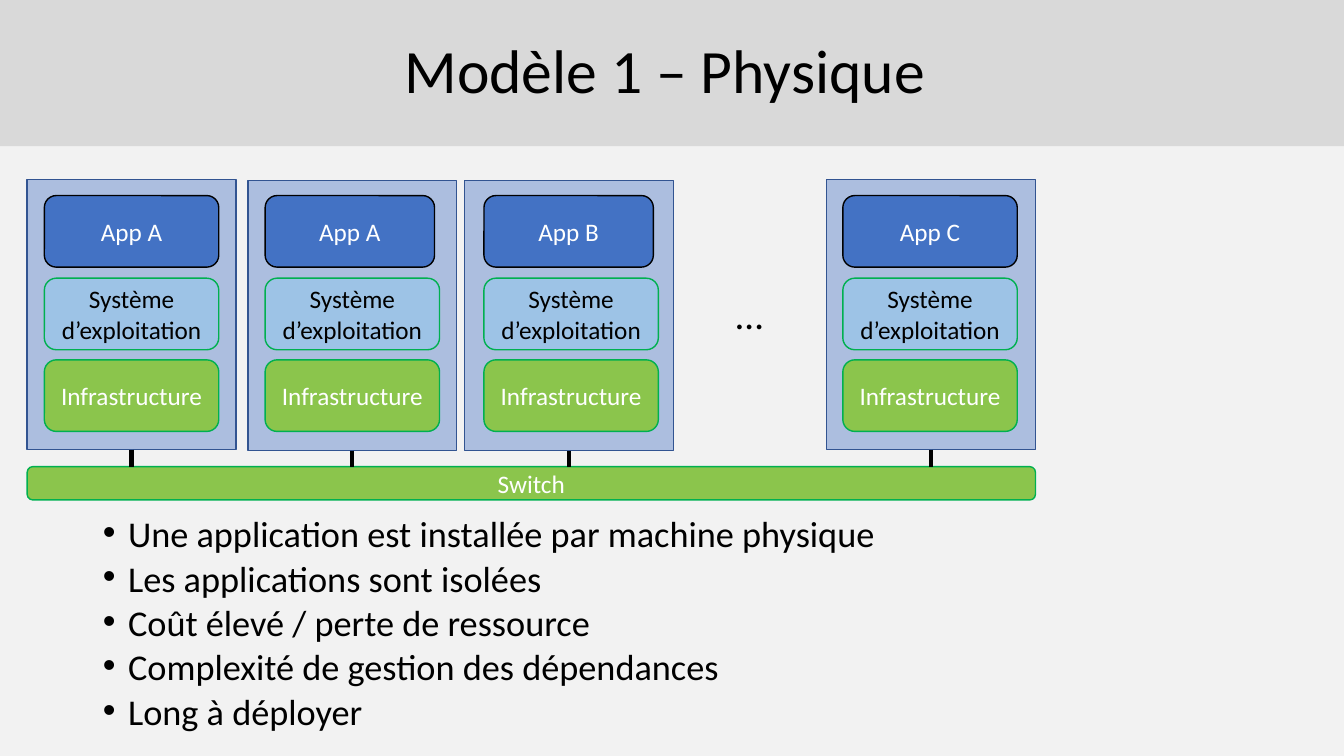
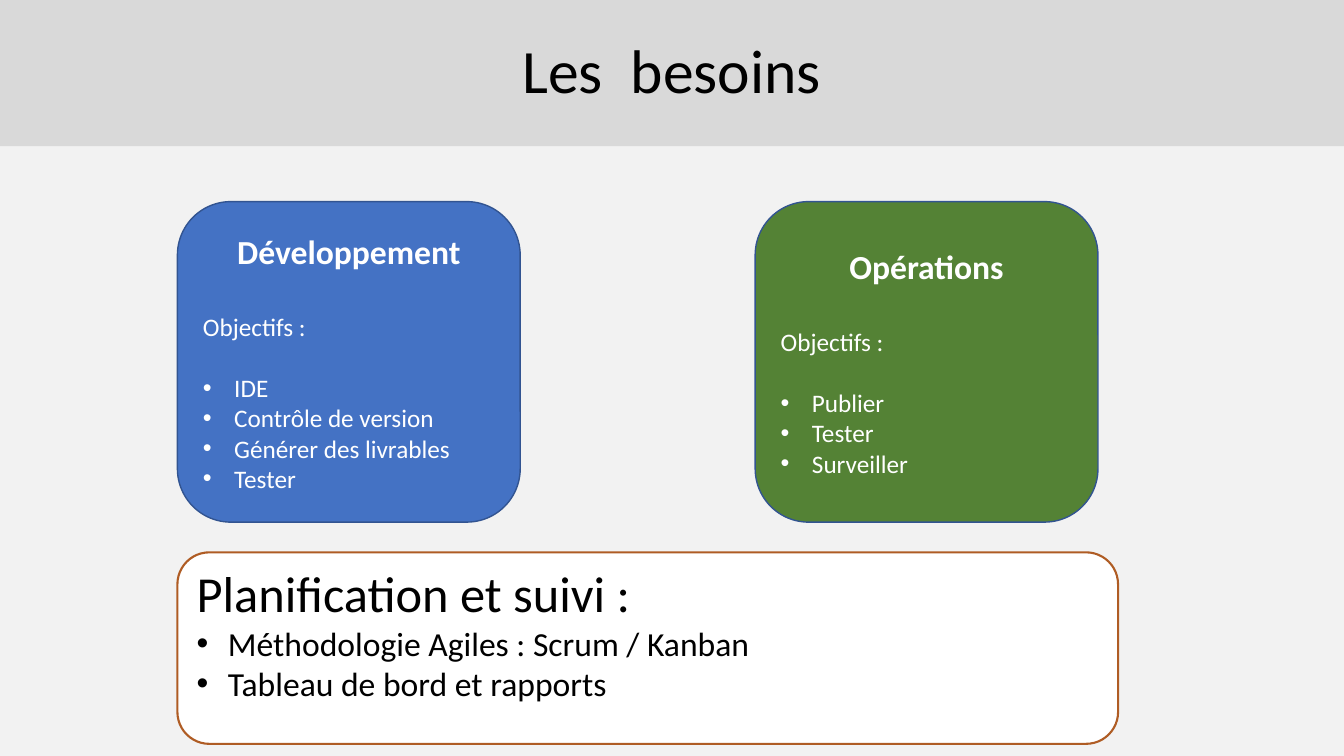
"""Build two slides: the physical deployment model and the needs of each team."""
import dataclasses

import lxml.etree
import pptx
import pptx.dml.color
import pptx.enum.shapes
import pptx.enum.text
import pptx.oxml.ns
import pptx.util

Inches = pptx.util.Inches
Pt = pptx.util.Pt
Color = pptx.dml.color.RGBColor.from_string
Align = pptx.enum.text.PP_ALIGN
Anchor = pptx.enum.text.MSO_ANCHOR
Fit = pptx.enum.text.MSO_AUTO_SIZE
Shape = pptx.enum.shapes.MSO_SHAPE
qname = pptx.oxml.ns.qn


@dataclasses.dataclass(frozen=True)
class Theme:
    font: str = "Calibri"
    paper: str = "F2F2F2"
    band: str = "D9D9D9"
    black: str = "000000"
    white: str = "FFFFFF"
    blue: str = "4472C4"
    app: str = "4372C4"
    navy: str = "325491"
    sky: str = "9DC3E6"
    lime: str = "8BC54C"
    emerald: str = "00B050"
    forest: str = "548235"
    rust: str = "AF5C24"
    title: float = 44
    headline: float = 36
    dots: float = 28
    body: float = 25.9
    heading: float = 24
    label: float = 18


theme = Theme()


def write(frame, text, size=theme.label, color=theme.black, bold=False,
          align=Align.LEFT, indent=0, line=None, before=0, after=0):
    """Add one formatted paragraph; a positive indent gives it a bullet."""
    para = frame.add_paragraph() if frame.text else frame.paragraphs[0]
    para.alignment = align
    para.space_before, para.space_after = Pt(before), Pt(after)
    if line:
        para.line_spacing = line
    if indent:
        properties = para._p.get_or_add_pPr()
        properties.set("marL", str(Inches(indent)))
        properties.set("indent", str(-Inches(indent)))
        lxml.etree.SubElement(properties, qname("a:buFont")).set("typeface", "Arial")
        lxml.etree.SubElement(properties, qname("a:buChar")).set("char", "•")
    span = para.add_run()
    span.text = text
    span.font.name, span.font.size, span.font.bold = theme.font, Pt(size), bold
    span.font.color.rgb = Color(color)


def add_box(page, kind, left, top, width, height, fill, outline, weight=1):
    """Add a filled, outlined shape ready for middle-anchored text."""
    box = page.shapes.add_shape(kind, Inches(left), Inches(top), Inches(width), Inches(height))
    box.shadow.inherit = False
    box.fill.solid()
    box.fill.fore_color.rgb = Color(fill)
    box.line.color.rgb = Color(outline)
    box.line.width = Pt(weight)
    box.text_frame.word_wrap = True
    box.text_frame.vertical_anchor = Anchor.MIDDLE
    return box


deck = pptx.Presentation()
deck.slide_width, deck.slide_height = Inches(13.33), Inches(7.5)
deck.slide_master.background.fill.solid()
deck.slide_master.background.fill.fore_color.rgb = Color(theme.paper)

pages = []
for layout, heading in ((1, "Modèle 1 – Physique "), (5, "Les  besoins")):
    page = deck.slides.add_slide(deck.slide_layouts[layout])
    title = page.shapes.title
    title.left, title.top, title.width, title.height = 0, 0, deck.slide_width, Inches(1.45)
    title.fill.solid()
    title.fill.fore_color.rgb = Color(theme.band)
    title.text_frame.auto_size = Fit.NONE
    title.text_frame.vertical_anchor = Anchor.MIDDLE
    write(title.text_frame, heading, size=theme.title, align=Align.CENTER, line=0.9)
    pages.append(page)
model, needs = pages

machine_width, machine_height, layer_width, layer_height = 2.07, 2.68, 1.73, 0.71
switch_top = 4.63
machines = (
    ("App A", 0.27, 1.78, 0.17, layer_width),
    ("App A", 2.46, 1.79, 0.17, 1.68),
    ("App B", 4.61, 1.79, 0.19, 1.68),
    ("App C", 8.2, 1.78, 0.16, layer_width),
)
switch = add_box(model, Shape.ROUNDED_RECTANGLE, 0.27, switch_top, 10, 0.33,
                 theme.lime, theme.emerald)
write(switch.text_frame, "Switch", color=theme.white, align=Align.CENTER)

for app, left, top, margin, app_width in machines:
    machine = add_box(model, Shape.RECTANGLE, left, top, machine_width, machine_height,
                      theme.blue, theme.navy)
    tint = machine._element.spPr.find(qname("a:solidFill"))[0]
    lxml.etree.SubElement(tint, qname("a:alpha")).set("val", "40000")
    layers = (
        (app, 1.94, app_width, theme.app, theme.black, theme.white),
        ("Système d’exploitation", 2.76, layer_width, theme.sky, theme.emerald, theme.black),
        ("Infrastructure", 3.57, layer_width, theme.lime, theme.emerald, theme.white),
    )
    for label, layer_top, width, fill, outline, color in layers:
        layer = add_box(model, Shape.ROUNDED_RECTANGLE, left + margin, layer_top,
                        width, layer_height, fill, outline)
        write(layer.text_frame, label, color=color, align=Align.CENTER)
    middle = Inches(left + machine_width / 2)
    cable = model.shapes.add_connector(
        pptx.enum.shapes.MSO_CONNECTOR.STRAIGHT,
        middle, Inches(top + machine_height), middle, Inches(switch_top))
    cable.line.color.rgb = Color(theme.black)
    cable.line.width = Pt(3)
    lxml.etree.SubElement(cable._element.spPr, qname("a:effectLst"))

dots = model.shapes.add_textbox(Inches(7.2), Inches(2.83), Inches(0.47), Inches(0.57))
dots.text_frame.word_wrap = False
dots.text_frame.auto_size = Fit.SHAPE_TO_FIT_TEXT
write(dots.text_frame, "…", size=theme.dots)

remarks = model.placeholders[1]
remarks.left, remarks.top = Inches(0.92), Inches(5.14)
remarks.width, remarks.height = Inches(11.5), Inches(2.33)
remarks.text_frame.auto_size = Fit.NONE
for remark in (
    "Une application est installée par machine physique",
    "Les applications sont isolées",
    "Coût élevé / perte de ressource",
    "Complexité de gestion des dépendances",
    "Long à déployer",
):
    write(remarks.text_frame, remark, size=theme.body, indent=0.25, line=0.7, before=10)

planning = add_box(needs, Shape.ROUNDED_RECTANGLE, 1.76, 5.48, 9.33, 1.9,
                   theme.white, theme.rust, weight=1.5)
planning.text_frame.margin_bottom = Inches(0.35)
write(planning.text_frame, "Planification et suivi :", size=theme.headline)
for practice in ("Méthodologie Agiles : Scrum / Kanban", "Tableau de bord et rapports"):
    write(planning.text_frame, practice, size=theme.heading, indent=0.31)

teams = (
    ("Développement", 1.76, theme.blue,
     ("IDE", "Contrôle de version", "Générer des livrables", "Tester")),
    ("Opérations", 7.49, theme.forest, ("Publier", "Tester", "Surveiller")),
)
for name, left, fill, goals in teams:
    team = add_box(needs, Shape.ROUNDED_RECTANGLE, left, 2, 3.4, 3.18, fill, theme.navy)
    write(team.text_frame, name, size=theme.heading, color=theme.white, bold=True,
          align=Align.CENTER, after=29)
    write(team.text_frame, "Objectifs :", color=theme.white, after=22)
    for goal in goals:
        write(team.text_frame, goal, color=theme.white, indent=0.31)

deck.save("out.pptx")
